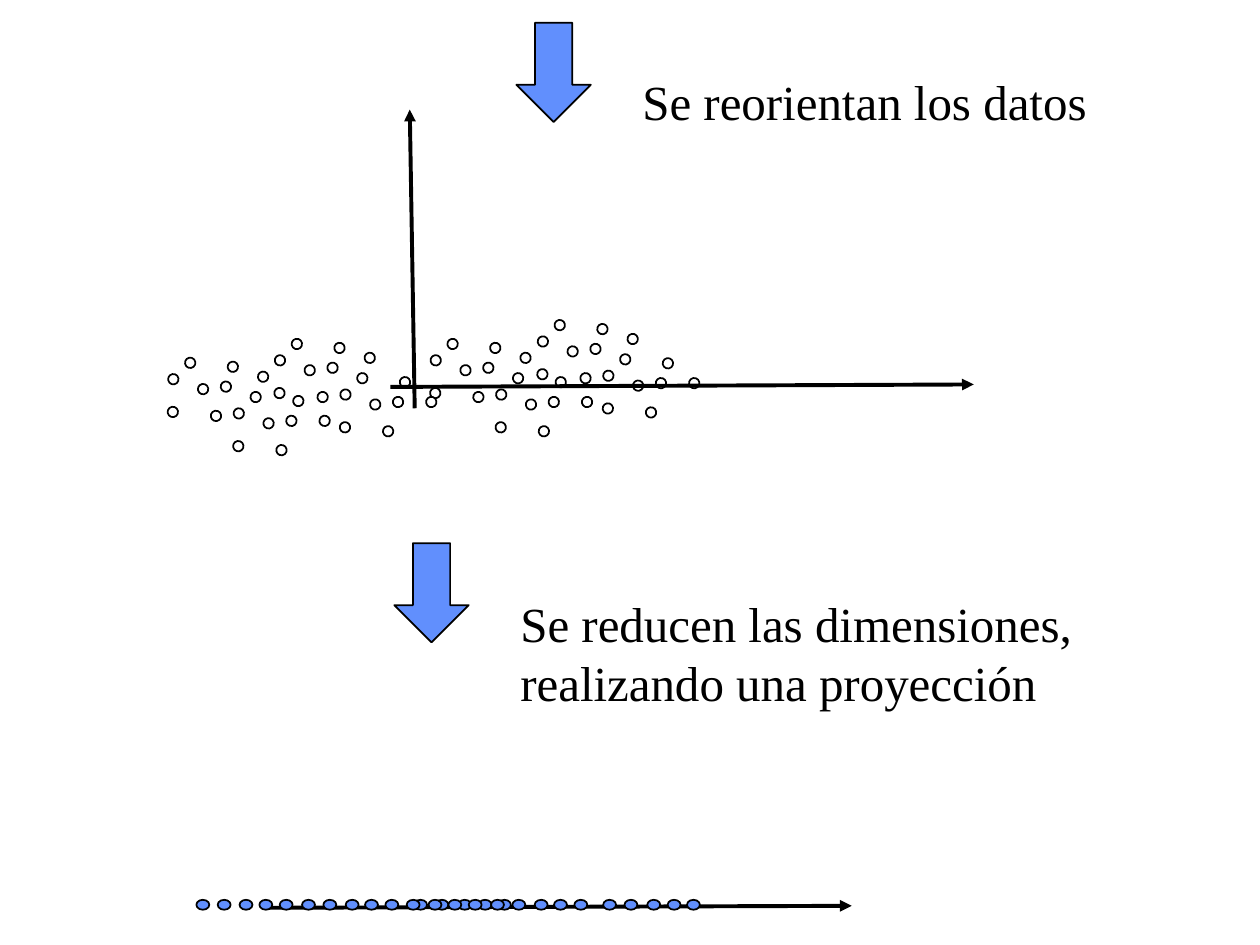
from dataclasses import dataclass

from lxml.etree import SubElement
from pptx import Presentation
from pptx.dml.color import RGBColor
from pptx.enum.shapes import MSO_CONNECTOR, MSO_SHAPE
from pptx.enum.text import MSO_AUTO_SIZE
from pptx.oxml.ns import qn
from pptx.util import Cm, Pt


@dataclass(frozen=True)
class Theme:
    ink: RGBColor = RGBColor(0x00, 0x00, 0x00)
    paper: RGBColor = RGBColor(0xFF, 0xFF, 0xFF)
    accent: RGBColor = RGBColor(0x61, 0x8F, 0xFD)
    font: str = "Times New Roman"
    text_size: Pt = Pt(28)
    outline: Pt = Pt(1)
    axis_width: Pt = Pt(2.25)


class SlideBuilder:
    """Draws on one slide; all lengths are in centimetres."""

    def __init__(self, page, theme):
        self.page = page
        self.theme = theme

    def group(self):
        return self.page.shapes.add_group_shape().shapes

    def shape(self, kind, left, top, width, height, fill, parent=None):
        shapes = self.page.shapes if parent is None else parent
        shape = shapes.add_shape(kind, Cm(left), Cm(top), Cm(width), Cm(height))
        shape.shadow.inherit = False
        shape.fill.solid()
        shape.fill.fore_color.rgb = fill
        shape.line.color.rgb = self.theme.ink
        shape.line.width = self.theme.outline
        return shape

    def data_point(self, left, top, parent=None):
        point = self.shape(MSO_SHAPE.OVAL, left, top, 0.21, 0.21, self.theme.paper, parent)
        point.rotation = 19.2

    def projected_point(self, left):
        self.shape(MSO_SHAPE.OVAL, left, 18.14, 0.26, 0.2, self.theme.accent)

    def step_arrow(self, left, top):
        self.shape(MSO_SHAPE.DOWN_ARROW, left, top, 1.5, 2, self.theme.accent)

    def axis(self, start, end, parent=None):
        shapes = self.page.shapes if parent is None else parent
        points = [Cm(value) for value in (*start, *end)]
        line = shapes.add_connector(MSO_CONNECTOR.STRAIGHT, *points)
        line.line.color.rgb = self.theme.ink
        line.line.width = self.theme.axis_width
        SubElement(line.line._get_or_add_ln(), qn("a:tailEnd"), type="triangle")
        SubElement(line._element.spPr, qn("a:effectLst"))

    def caption(self, left, top, width, height, text):
        box = self.page.shapes.add_textbox(Cm(left), Cm(top), Cm(width), Cm(height))
        frame = box.text_frame
        frame.word_wrap = True
        frame.auto_size = MSO_AUTO_SIZE.SHAPE_TO_FIT_TEXT
        para = frame.paragraphs[0]
        span = para.add_run()
        span.text = text
        span.font.name = self.theme.font
        span.font.size = self.theme.text_size
        span.font.color.rgb = self.theme.ink


# Each cluster is the same pattern of eight points, drawn twice;
# only the fourth point differs between the two halves.
PATTERN_START = [(0, 0), (0.26, 0.53), (0.52, 1.07)]
PATTERN_END = [(-0.35, 0.99), (0.72, 0.48), (0.86, 0.08), (-0.34, 0.33)]
HALVES = [((0, 0), (1.47, 0.28)), ((1.32, 0.69), (1.39, 0.48))]
GROUPED_CLUSTERS = [(11.18, 6.45), (9.02, 6.83)]
LOOSE_CLUSTERS = [(5.88, 6.83), (3.73, 7.21)]

PROJECTED_OFFSETS = [0, 0.43, 0.87, 1.27, 1.68, 2.13, 2.56, 3.01, 3.4,
                     4.39, 4.82, 5.28, 5.69, 6.08]
PROJECTED_STARTS = [3.96, 7.77]
LONE_PROJECTED = 11.58


def draw_clusters(builder, origins, parent=None):
    for left, top in origins:
        for (shift_x, shift_y), fourth in HALVES:
            for x, y in [*PATTERN_START, fourth, *PATTERN_END]:
                builder.data_point(left + shift_x + x, top + shift_y + y, parent)


def main():
    deck = Presentation()
    deck.slide_width, deck.slide_height = Cm(25.4), Cm(19.05)
    page = deck.slides.add_slide(deck.slide_layouts[6])
    builder = SlideBuilder(page, Theme())

    draw_clusters(builder, GROUPED_CLUSTERS, builder.group())
    draw_clusters(builder, LOOSE_CLUSTERS)
    axes = builder.group()
    builder.axis((7.87, 7.8), (19.63, 7.75), axes)
    builder.axis((8.36, 8.23), (8.26, 2.21), axes)
    builder.step_arrow(10.41, 0.46)
    builder.caption(12.7, 1.32, 10.41, 1.45, "Se reorientan los datos")

    builder.axis((5.41, 18.3), (17.17, 18.26))
    builder.step_arrow(7.95, 10.95)
    builder.caption(10.24, 11.84, 12.65, 2.64,
                    "Se reducen las dimensiones, realizando una proyección")
    for start in PROJECTED_STARTS:
        for offset in PROJECTED_OFFSETS:
            builder.projected_point(start + offset)
    builder.projected_point(LONE_PROJECTED)

    deck.save("out.pptx")


if __name__ == "__main__":
    main()
